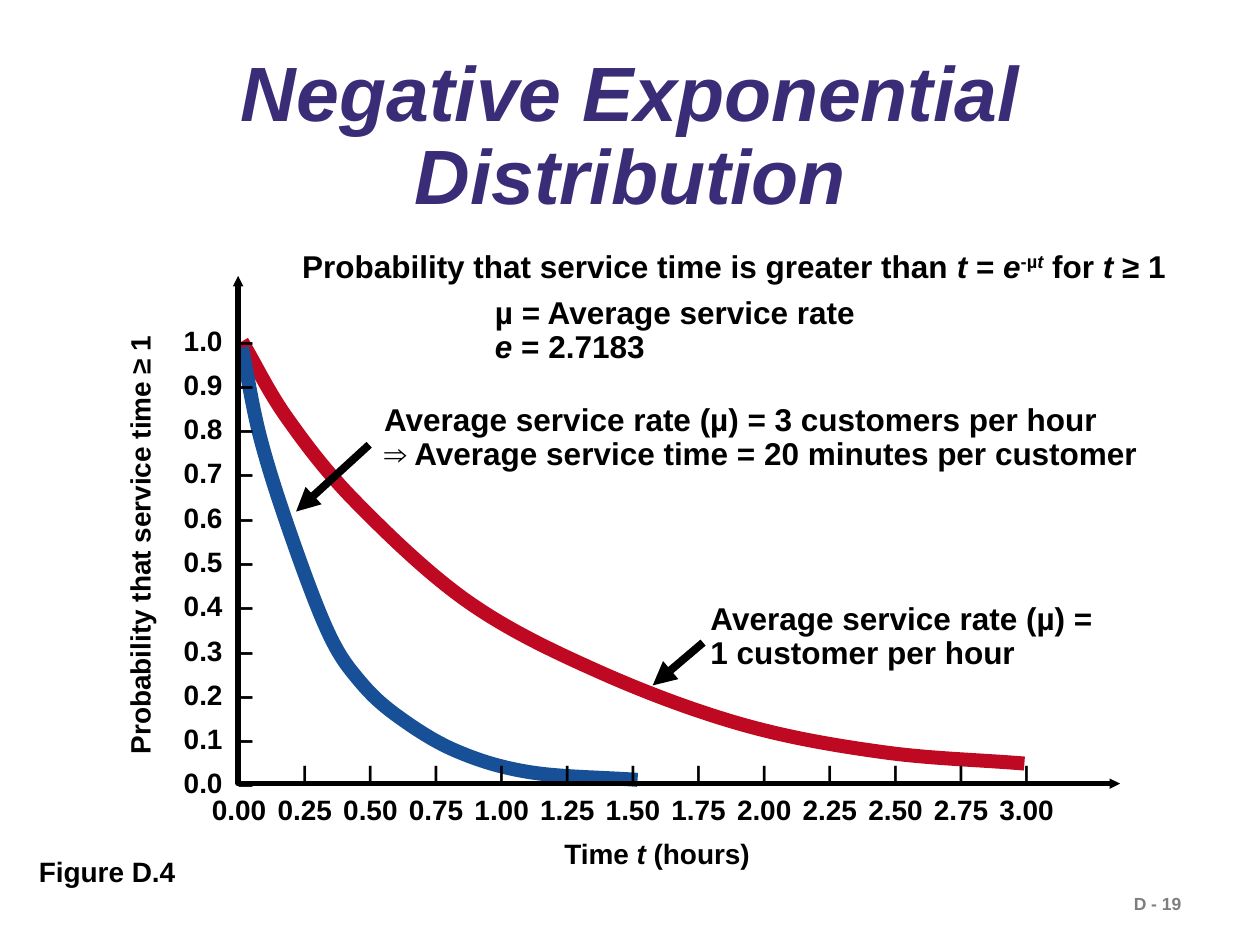
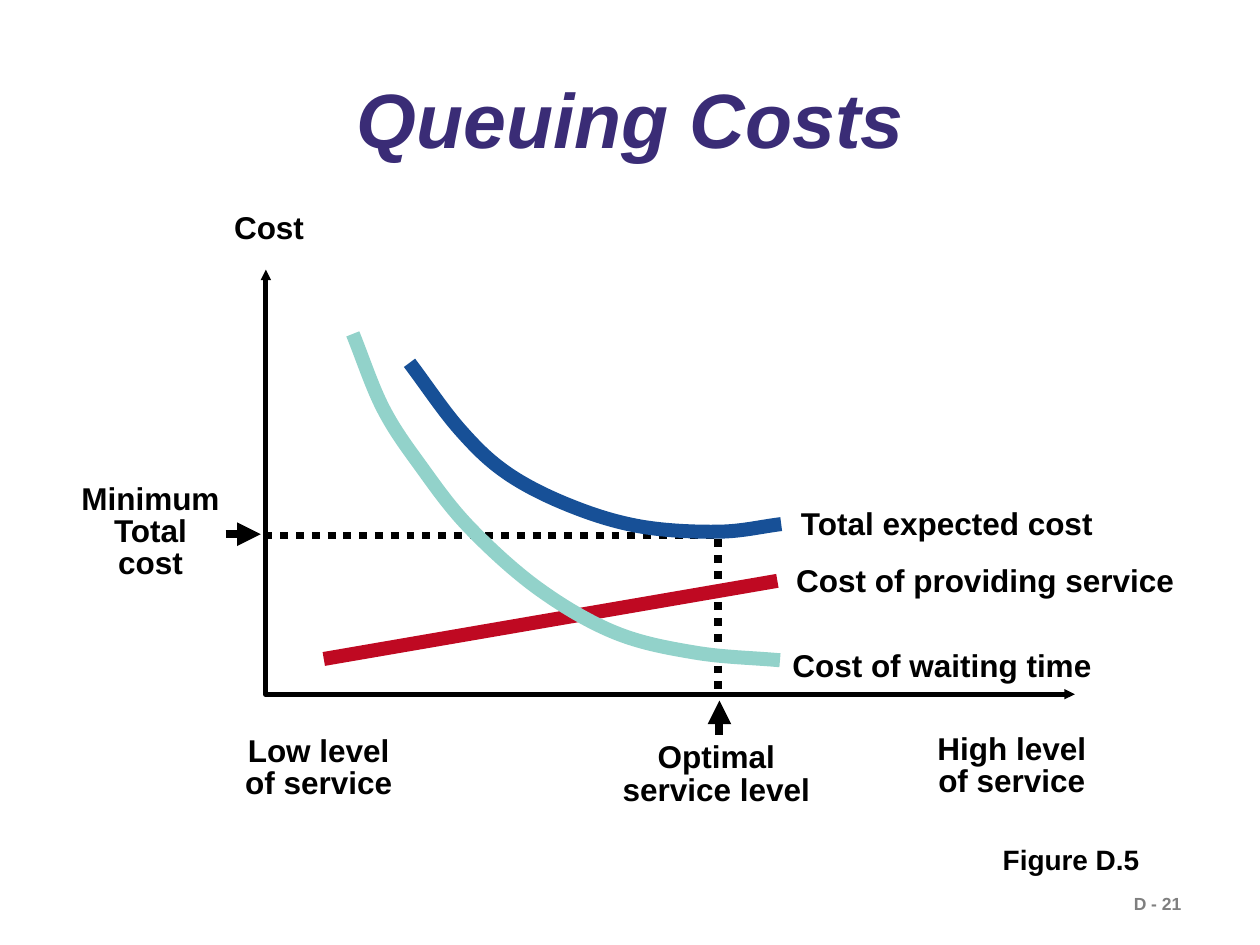
from dataclasses import dataclass

from lxml import etree
from pptx import Presentation
from pptx.dml.color import RGBColor
from pptx.enum.dml import MSO_LINE
from pptx.enum.shapes import MSO_CONNECTOR
from pptx.enum.text import MSO_ANCHOR, MSO_AUTO_SIZE, PP_ALIGN
from pptx.oxml.ns import qn
from pptx.util import Inches, Pt

STRAIGHT = MSO_CONNECTOR.STRAIGHT
LEFT, CENTER = PP_ALIGN.LEFT, PP_ALIGN.CENTER
TOP, MIDDLE = MSO_ANCHOR.TOP, MSO_ANCHOR.MIDDLE
FIT_SHAPE, FIXED = MSO_AUTO_SIZE.SHAPE_TO_FIT_TEXT, MSO_AUTO_SIZE.NONE
DOTTED = MSO_LINE.ROUND_DOT

FONT = "Arial"
BLACK = RGBColor(0x00, 0x00, 0x00)
GRAY = RGBColor(0x7F, 0x7F, 0x7F)
PURPLE = RGBColor(0x3A, 0x2C, 0x76)
RED = RGBColor(0xBF, 0x09, 0x22)
BLUE = RGBColor(0x17, 0x50, 0x97)
TEAL = RGBColor(0x92, 0xD2, 0xCA)

CURVE_WIDTH, AXIS_WIDTH, POINTER_WIDTH = 8, 3, 4.5

Point = tuple[float, float]


@dataclass(frozen=True)
class Label:
    """Text where _..._ is italic and ^...^ is superscript."""
    text: str
    left: float
    top: float
    width: float
    height: float
    size: float = 18
    align: PP_ALIGN = LEFT
    spacing: float = 1.0
    color: RGBColor = BLACK
    italic: bool = False
    wrap: bool = False
    anchor: MSO_ANCHOR = TOP
    rotation: float = 0
    tabs: tuple[tuple[float, str], ...] = ()


@dataclass(frozen=True)
class Curve:
    color: RGBColor
    knots: tuple[Point, ...]


@dataclass(frozen=True)
class Pointer:
    start: Point
    end: Point


def add_marked_runs(para, text: str, label: Label) -> None:
    for level, part in enumerate(text.split("^")):
        for slant, piece in enumerate(part.split("_")):
            if not piece:
                continue
            span = para.add_run()
            span.text = piece
            span.font.name = FONT
            span.font.size = Pt(label.size)
            span.font.bold = True
            span.font.italic = label.italic or slant % 2 == 1
            span.font.color.rgb = label.color
            if level % 2:
                span.font._element.set("baseline", "30000")


def add_tab_stops(para, tabs: tuple[tuple[float, str], ...]) -> None:
    stops = etree.SubElement(para._p.get_or_add_pPr(), qn("a:tabLst"))
    for position, kind in tabs:
        stop = etree.SubElement(stops, qn("a:tab"))
        stop.set("pos", str(Inches(position)))
        stop.set("algn", kind)


def draw_label(page, label: Label):
    box = page.shapes.add_textbox(Inches(label.left), Inches(label.top),
                                  Inches(label.width), Inches(label.height))
    box.rotation = label.rotation
    frame = box.text_frame
    frame.word_wrap = label.wrap
    frame.auto_size = FIXED if label.wrap else FIT_SHAPE
    frame.vertical_anchor = label.anchor
    for index, line in enumerate(label.text.split("\n")):
        para = frame.add_paragraph() if index else frame.paragraphs[0]
        para.alignment = label.align
        para.line_spacing = label.spacing
        if label.tabs:
            add_tab_stops(para, label.tabs)
        add_marked_runs(para, line, label)
    return box


def style_line(shape, color: RGBColor, width: float, dash=None,
               ends: tuple[str, ...] = (), end_size: str = "med") -> None:
    """Style a line; ends holds headEnd and/or tailEnd, in that order."""
    shape.line.color.rgb = color
    shape.line.width = Pt(width)
    if dash:
        shape.line.dash_style = dash
    properties = shape.element.spPr
    outline = properties.find(qn("a:ln"))
    for end in ends:
        arrow = etree.SubElement(outline, qn(f"a:{end}"))
        arrow.set("type", "triangle")
        arrow.set("w", end_size)
        arrow.set("len", end_size)
    etree.SubElement(properties, qn("a:effectLst"))


def draw_polyline(page, points: tuple[Point, ...]):
    corners = [(Inches(x), Inches(y)) for x, y in points]
    builder = page.shapes.build_freeform(*corners[0], scale=1.0)
    builder.add_line_segments(corners[1:], close=False)
    shape = builder.convert_to_shape()
    shape.fill.background()
    return shape


def control_points(knots: tuple[Point, ...]) -> list[tuple[Point, Point]]:
    """Give the two Bezier handles of each stretch of a spline through the knots."""
    def extend(end: Point, inner: Point) -> Point:
        return 2 * end[0] - inner[0], 2 * end[1] - inner[1]

    def handle(knot: Point, ahead: Point, behind: Point) -> Point:
        return (knot[0] + (ahead[0] - behind[0]) / 6,
                knot[1] + (ahead[1] - behind[1]) / 6)

    chain = [extend(knots[0], knots[1]), *knots, extend(knots[-1], knots[-2])]
    return [(handle(b, c, a), handle(c, b, d))
            for a, b, c, d in zip(chain, chain[1:], chain[2:], chain[3:])]


def draw_curve(page, curve: Curve) -> None:
    shape = draw_polyline(page, curve.knots)
    segments = list(shape.element.iter(qn("a:lnTo")))
    for segment, handles in zip(segments, control_points(curve.knots)):
        segment.tag = qn("a:cubicBezTo")
        for index, (x, y) in enumerate(handles):
            point = etree.Element(qn("a:pt"))
            point.set("x", str(Inches(x) - shape.left))
            point.set("y", str(Inches(y) - shape.top))
            segment.insert(index, point)
    style_line(shape, curve.color, CURVE_WIDTH)


def draw_axes(page, top: float, origin: Point, right: float) -> None:
    axes = draw_polyline(page, ((origin[0], top), origin, (right, origin[1])))
    style_line(axes, BLACK, AXIS_WIDTH, ends=("headEnd", "tailEnd"), end_size="sm")


def draw_segment(page, start: Point, end: Point):
    return page.shapes.add_connector(STRAIGHT, *(Inches(value) for value in (*start, *end)))


def draw_pointer(page, pointer: Pointer) -> None:
    style_line(draw_segment(page, pointer.start, pointer.end), BLACK, POINTER_WIDTH,
               ends=("tailEnd",))


def add_page(deck, title: str, title_top: float, title_height: float, number: str):
    page = deck.slides.add_slide(deck.slide_layouts[6])
    draw_label(page, Label(number, 8.9, 7.04, 1.09, 0.27, size=10, color=GRAY))
    draw_label(page, Label(title, 0.58, title_top, 8.85, title_height, size=44, align=CENTER,
                           spacing=0.9, color=PURPLE, italic=True, wrap=True, anchor=MIDDLE))
    return page


SERVICE_CURVES = (
    Curve(RED, ((1.92, 2.71), (2.28, 3.32), (2.83, 3.99), (3.72, 4.78),
                (4.75, 5.33), (5.89, 5.75), (7.01, 5.97), (8.13, 6.06))),
    Curve(BLUE, ((1.92, 2.76), (2.07, 3.49), (2.32, 4.28), (2.61, 5.03), (2.85, 5.4),
                 (3.15, 5.68), (3.62, 5.96), (4.21, 6.13), (5.06, 6.19))),
)
SERVICE_LABELS = (
    Label("Figure D.4", 0.21, 6.73, 1.32, 0.37, size=16),
    Label("Probability that service time ≥ 1", -0.67, 4.12, 3.56, 0.37, size=16, rotation=270),
    Label("Time _t_ (hours)", 4.38, 6.59, 1.72, 0.37, size=16),
    Label("Probability that service time is greater than _t_ = _e_^-µ_t_^ for _t_ ≥ 1",
          2.3, 1.91, 7.1, 0.4),
    Label("µ = Average service rate\n_e_ = 2.7183", 3.83, 2.31, 3.11, 0.64, spacing=0.9),
    Label("Average service rate (µ) =\n1 customer per hour", 5.54, 4.74, 3.35, 0.64, spacing=0.9),
    Label("Average service rate (µ) = 3 customers per hour\n"
          "⇒ Average service time = 20 minutes per customer", 2.95, 3.16, 6.25, 0.64, spacing=0.9),
)
SERVICE_POINTERS = (
    Pointer((5.58, 5.1), (5.18, 5.44)),
    Pointer((2.93, 3.53), (2.35, 4.06)),
)

TOTAL_COST = Curve(BLUE, ((3.25, 2.88), (3.65, 3.41), (4.03, 3.76), (4.54, 4.02),
                          (5.09, 4.18), (5.71, 4.22), (6.2, 4.16)))
WAITING_COST = Curve(TEAL, ((2.8, 2.65), (3.04, 3.24), (3.34, 3.7), (3.72, 4.18),
                            (4.27, 4.67), (4.88, 5.02), (5.52, 5.18), (6.19, 5.24)))
COST_NOTES = (
    ("Total expected cost", 6.23, 4.0, 2.57, 0.36),
    ("Cost of providing service", 6.2, 4.45, 3.24, 0.36),
    ("Cost", 1.74, 1.65, 0.79, 0.36),
    ("Low level\nof service", 1.83, 5.8, 1.4, 0.61),
    ("High level\nof service", 7.32, 5.78, 1.42, 0.61),
    ("Minimum\nTotal\ncost", 0.53, 3.8, 1.33, 0.87),
    ("Optimal\nservice level", 4.82, 5.85, 1.73, 0.61),
)
COST_LABELS = (
    Label("Figure D.5", 7.86, 6.64, 1.32, 0.37, size=16),
    Label("Cost of waiting time", 6.19, 5.08, 2.61, 0.4),
    *(Label(*note, align=CENTER, spacing=0.85) for note in COST_NOTES),
)
COST_POINTERS = (
    Pointer((1.79, 4.24), (2.07, 4.24)),
    Pointer((5.71, 5.83), (5.71, 5.56)),
)


def draw_service_scales(page) -> None:
    probabilities = "\n".join(f"{tenth / 10:.1f}\t–" for tenth in range(10, -1, -1))
    draw_label(page, Label(probabilities, 1.36, 2.43, 0.85, 3.97, size=16, spacing=1.32,
                           wrap=True, tabs=((0.43, "l"),)))
    hours = [quarter / 4 for quarter in range(13)]
    ticks = "\t|" * len(hours)
    values = "".join(f"\t{hour:.2f}" for hour in hours)
    stops = tuple((0.41 + 6.25 * hour / hours[-1], "ctr") for hour in hours)
    scale = draw_label(page, Label(f"{ticks}\n{values}", 1.39, 5.95, 7.3, 0.66, size=16,
                                   spacing=1.2, wrap=True, tabs=stops))
    scale.text_frame.paragraphs[0].runs[0].font.size = Pt(12)


def build_distribution_page(deck) -> None:
    page = add_page(deck, "Negative Exponential Distribution", 0.38, 1.43, "D - 19")
    for curve in SERVICE_CURVES:
        draw_curve(page, curve)
    draw_axes(page, 2.19, (1.89, 6.22), 8.89)
    draw_service_scales(page)
    for label in SERVICE_LABELS:
        draw_label(page, label)
    for pointer in SERVICE_POINTERS:
        draw_pointer(page, pointer)


def build_costs_page(deck) -> None:
    page = add_page(deck, "Queuing Costs", 0.46, 1.04, "D - 21")
    optimum = draw_polyline(page, ((2.1, 4.25), (5.7, 4.25), (5.7, 5.51)))
    style_line(optimum, BLACK, POINTER_WIDTH, dash=DOTTED)
    draw_curve(page, TOTAL_COST)
    style_line(draw_segment(page, (2.57, 5.23), (6.17, 4.61)), RED, CURVE_WIDTH)
    draw_axes(page, 2.14, (2.11, 5.51), 8.53)
    draw_curve(page, WAITING_COST)
    for label in COST_LABELS:
        draw_label(page, label)
    for pointer in COST_POINTERS:
        draw_pointer(page, pointer)


def main() -> None:
    deck = Presentation()
    deck.slide_width, deck.slide_height = Inches(10), Inches(7.5)
    build_distribution_page(deck)
    build_costs_page(deck)
    deck.save("out.pptx")


if __name__ == "__main__":
    main()
